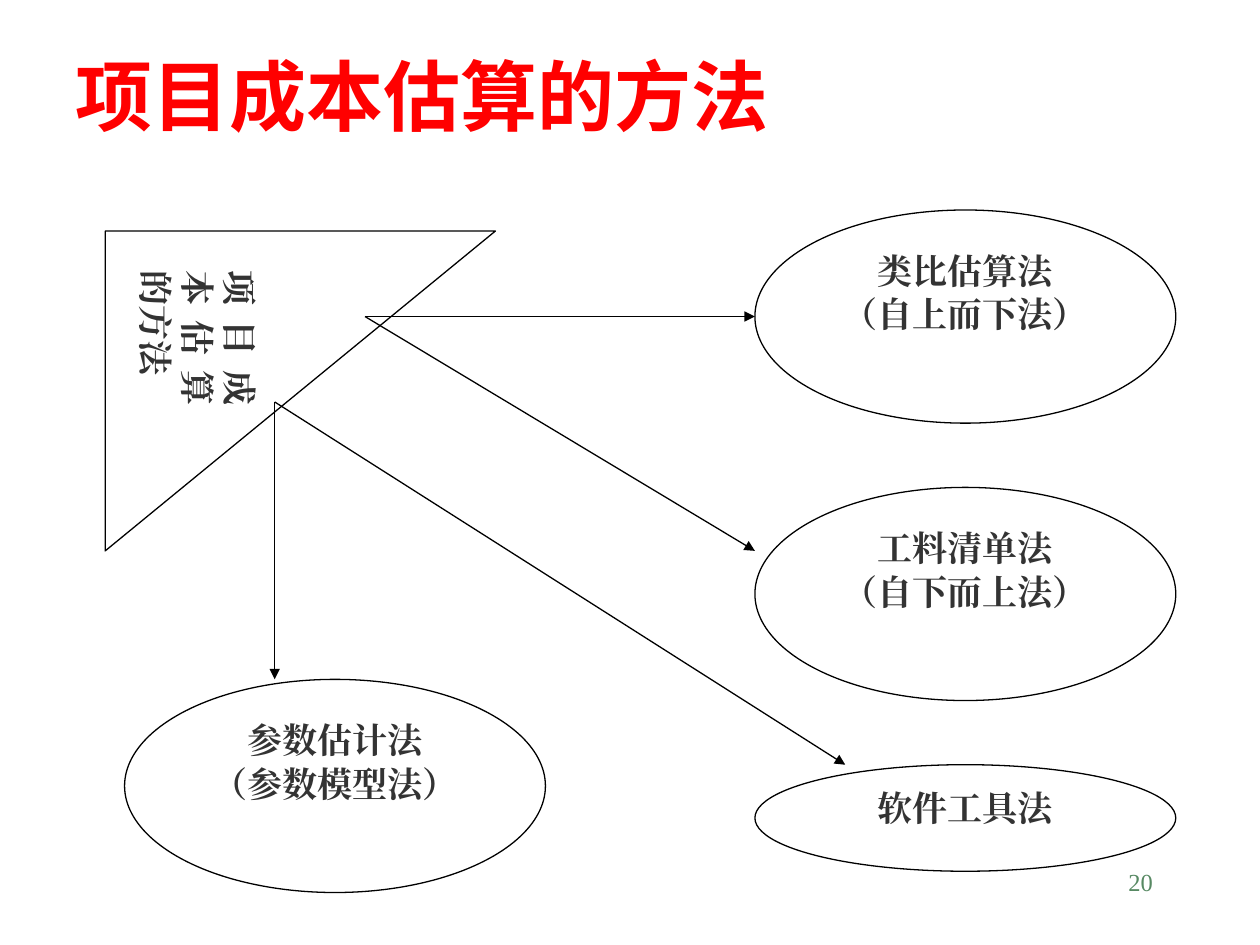
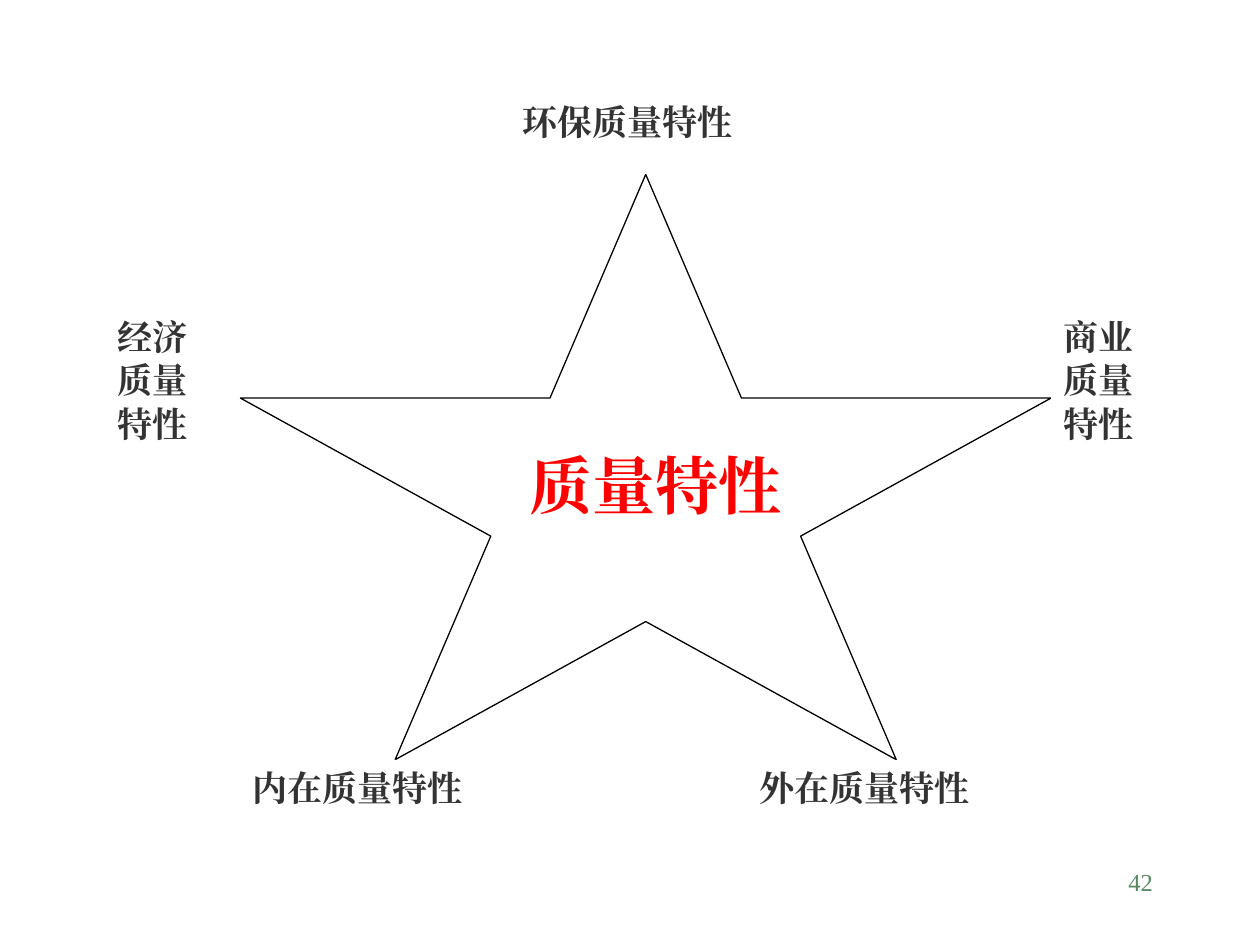
from lxml import etree
from pptx import Presentation
from pptx.dml.color import RGBColor
from pptx.enum import shapes, text
from pptx.oxml import ns
from pptx.util import Pt

BLACK, WHITE, GREY, RED, GREEN = "000000", "FFFFFF", "333333", "FF0000", "578963"
SERIF, SANS = "Times New Roman", "Noto Sans CJK SC"
CENTER, JUSTIFY = text.PP_ALIGN.CENTER, text.PP_ALIGN.JUSTIFY
KIND = shapes.MSO_SHAPE


def write(box, lines, align, size=20, ink=GREY, face=SERIF, bold=True,
          anchor=text.MSO_ANCHOR.TOP):
    """Fill a box with evenly formatted paragraphs."""
    frame = box.text_frame
    frame.text = "\n".join(lines)
    frame.word_wrap = True
    frame.auto_size = text.MSO_AUTO_SIZE.NONE
    frame.vertical_anchor = anchor
    for para in frame.paragraphs:
        para.alignment = align
        if len(lines) > 1:
            para.line_spacing = 1.04
        para.font.size, para.font.bold, para.font.name = Pt(size), bold, face
        para.font.color.rgb = RGBColor.from_string(ink)
        for span in para.runs:
            span.font.size = Pt(size)
            props = span._r.get_or_add_rPr()
            etree.SubElement(props, ns.qn("a:ea"), typeface=face)


def draw(page, kind, left, top, width, height, outline=True):
    """Add a white preset shape, with or without a thin black outline."""
    shape = page.shapes.add_shape(kind, Pt(left), Pt(top), Pt(width), Pt(height))
    shape.shadow.inherit = False
    shape.fill.solid()
    shape.fill.fore_color.rgb = RGBColor.from_string(WHITE)
    if outline:
        shape.line.color.rgb = RGBColor.from_string(BLACK)
        shape.line.width = Pt(0.75)
    else:
        shape.line.fill.background()
    return shape


deck = Presentation()
deck.slide_width, deck.slide_height = Pt(720), Pt(540)
methods = deck.slides.add_slide(deck.slide_layouts[5])
quality = deck.slides.add_slide(deck.slide_layouts[6])

# Estimating methods: title
title = methods.shapes.title
title.left, title.top, title.width, title.height = Pt(36), Pt(30.2), Pt(660), Pt(48.2)
write(title, ["项目成本估算的方法"], text.PP_ALIGN.LEFT, 44, RED, SANS,
      anchor=text.MSO_ANCHOR.MIDDLE)

# Estimating methods: one ellipse each
for left, top, height, lines in [
    (431.4, 120, 121.8, ["类比估算法", "（自上而下法）"]),
    (431.4, 278.5, 121.8, ["工料清单法", "（自下而上法）"]),
    (71.2, 388.2, 121.8, ["参数估计法", "（参数模型法）"]),
    (431.4, 437, 60.9, ["软件工具法"]),
]:
    write(draw(methods, KIND.OVAL, left, top, 240.5, height), lines, CENTER)

# Estimating methods: source triangle
triangle = draw(methods, KIND.RIGHT_TRIANGLE, 80.2, 111.9, 182.8, 223)
triangle.rotation = 90
write(triangle, ["项目成本估算的方法"], JUSTIFY)

# Estimating methods: arrows
upper, lower = (208.6, 180.9), (157, 229.7)
for start, end in [
    (upper, (431.4, 180.9)),
    (upper, (431.4, 314.8)),
    (lower, (483, 437)),
    (lower, (157, 388.2)),
]:
    arrow = methods.shapes.add_connector(
        shapes.MSO_CONNECTOR.STRAIGHT, *(Pt(value) for value in start + end))
    arrow.line.color.rgb = RGBColor.from_string(BLACK)
    arrow.line.width = Pt(0.75)
    etree.SubElement(arrow.line._get_or_add_ln(), ns.qn("a:tailEnd"), type="triangle")
    etree.SubElement(arrow._element.spPr, ns.qn("a:effectLst"))

# Quality characteristics: star
star = draw(quality, KIND.STAR_5_POINT, 137.3, 99.7, 463.4, 334.5)
write(star, ["质量特性"], JUSTIFY, 36, RED)
star.text_frame.margin_left, star.text_frame.margin_top = Pt(22), Pt(27.6)

# Quality characteristics: a label at each point
for left, top, width, height, lines in [
    (137.3, 434.2, 173.7, 45.4, ["内在质量特性"]),
    (291.6, 54, 173.7, 45.4, ["环保质量特性"]),
    (60, 175.7, 77, 106.6, ["经济", "质量", "特性"]),
    (427, 434.2, 173.7, 45.4, ["外在质量特性"]),
    (600.6, 175.7, 77, 106.6, ["商业", "质量", "特性"]),
]:
    label = draw(quality, KIND.RECTANGLE, left, top, width, height, outline=False)
    write(label, lines, JUSTIFY)

# Page numbers
for page, number in [(methods, "20"), (quality, "42")]:
    footer = page.shapes.add_textbox(Pt(516), Pt(492), Pt(150), Pt(36))
    write(footer, [number], text.PP_ALIGN.RIGHT, 14, GREEN, bold=False)

deck.save("out.pptx")
